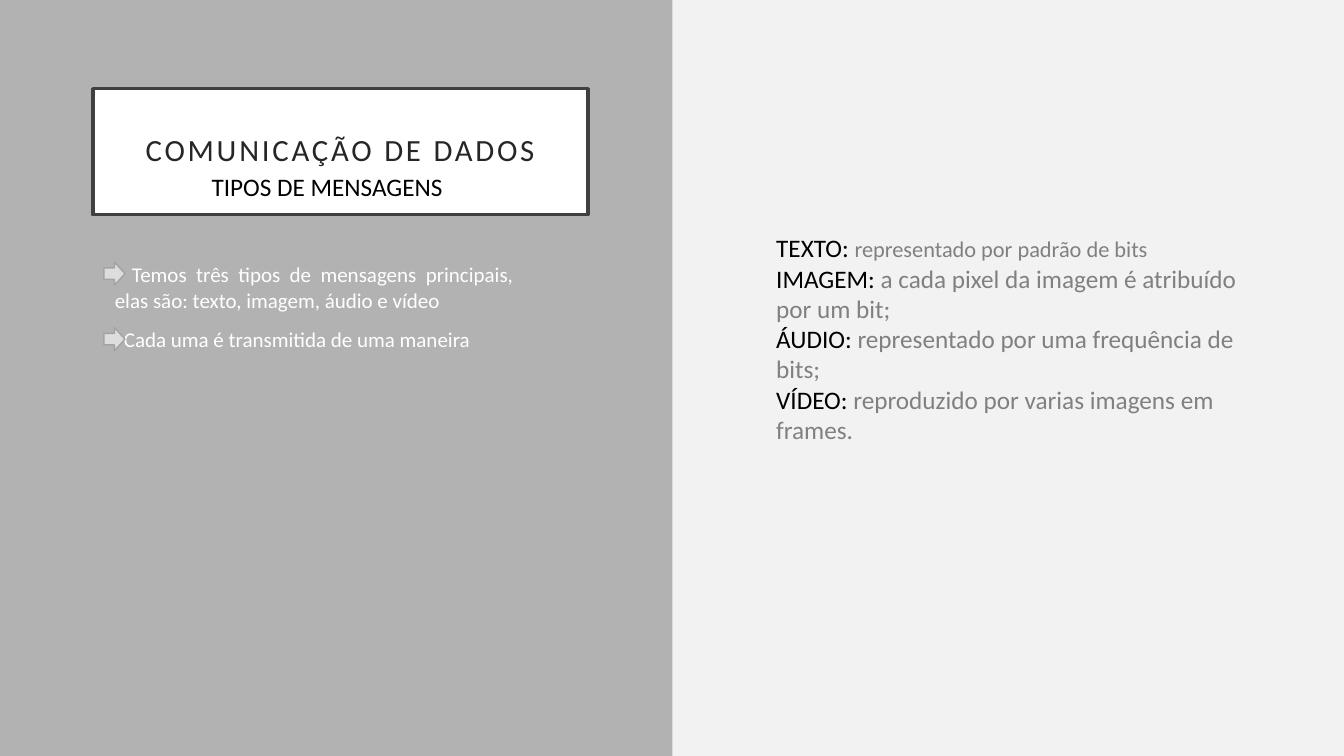
import dataclasses

import pptx
import pptx.dml.color
import pptx.enum.shapes
import pptx.enum.text
import pptx.util

Inches = pptx.util.Inches
Align = pptx.enum.text.PP_ALIGN
Anchor = pptx.enum.text.MSO_ANCHOR
Shape = pptx.enum.shapes.MSO_SHAPE


@dataclasses.dataclass(frozen=True)
class Theme:
    font: str = "Calibri"
    page: str = "F2F2F2"
    panel: str = "B2B2B2"
    white: str = "FFFFFF"
    black: str = "000000"
    frame: str = "404040"
    title: str = "262626"
    detail: str = "808080"
    arrow: str = "DDDDDD"
    arrow_edge: str = "A3A3A3"
    title_size: int = 22
    term_size: int = 18
    detail_size: int = 16
    point_size: int = 15


THEME = Theme()

POINTS = [  # text, first-line indent, arrow offset from the top of the box
    ("Temos três tipos de mensagens principais, elas são: texto, imagem, áudio e vídeo", 0.17, 0.05),
    ("Cada uma é transmitida de uma maneira", 0.09, 0.7),
]

MESSAGE_TYPES = [
    ("TEXTO: ", "representado por padrão de bits", THEME.detail_size),
    ("IMAGEM: ", "a cada pixel da imagem é atribuído por um bit;", THEME.term_size),
    ("ÁUDIO: ", "representado por uma frequência de bits;", THEME.term_size),
    ("VÍDEO: ", "reproduzido por varias imagens em frames.", THEME.term_size),
]


def rgb(color):
    return pptx.dml.color.RGBColor.from_string(color)


def add_span(para, text, *, size, color, spacing=None):
    span = para.add_run()
    span.text = text
    span.font.name = THEME.font
    span.font.size = pptx.util.Pt(size)
    span.font.color.rgb = rgb(color)
    if spacing is not None:
        span.font._element.set("spc", str(round(spacing * 100)))


def add_para(frame, first, *, align=Align.LEFT, before=0, indent=0, line=1.0):
    para = frame.paragraphs[0] if first else frame.add_paragraph()
    para.alignment = align
    para.space_before = pptx.util.Pt(before)
    para.line_spacing = line
    if indent:
        para._p.get_or_add_pPr().set("indent", str(Inches(indent)))
    return para


def add_block(page, kind, box, *, fill, line=None, width=1):
    block = page.shapes.add_shape(kind, *map(Inches, box))
    block.shadow.inherit = False
    block.fill.solid()
    block.fill.fore_color.rgb = rgb(fill)
    if line:
        block.line.color.rgb = rgb(line)
        block.line.width = pptx.util.Pt(width)
    else:
        block.line.fill.background()
    return block


def add_text_frame(page, box, wrap=True):
    frame = page.shapes.add_textbox(*map(Inches, box)).text_frame
    frame.word_wrap = wrap
    return frame


def add_heading(page, box):
    left, top, _, _ = box
    # Framed title
    frame = add_block(page, Shape.RECTANGLE, box, fill=THEME.white,
                      line=THEME.frame, width=2.5).text_frame
    frame.word_wrap = True
    frame.vertical_anchor = Anchor.MIDDLE
    frame.margin_left = frame.margin_right = Inches(0.2)
    frame.margin_top = frame.margin_bottom = Inches(0.2)
    para = add_para(frame, True, align=Align.CENTER, line=0.9)
    add_span(para, "COMUNICAÇÃO DE DADOS", size=THEME.title_size,
             color=THEME.title, spacing=2)
    # Subtitle
    frame = add_text_frame(page, (left + 1.08, top + 0.77, 2.74, 0.4), wrap=False)
    add_span(add_para(frame, True), "TIPOS DE MENSAGENS",
             size=THEME.term_size, color=THEME.black)


def add_points(page, box):
    left, top, _, _ = box
    frame = add_text_frame(page, box)
    for index, (text, indent, offset) in enumerate(POINTS):
        para = add_para(frame, index == 0, align=Align.JUSTIFY, before=10, indent=indent)
        add_span(para, text, size=THEME.point_size, color=THEME.white)
        add_block(page, Shape.RIGHT_ARROW, (left - 0.01, top + offset, 0.21, 0.23),
                  fill=THEME.arrow, line=THEME.arrow_edge)


def add_message_types(page, box):
    frame = add_text_frame(page, box)
    for index, (term, detail, size) in enumerate(MESSAGE_TYPES):
        para = add_para(frame, index == 0)
        add_span(para, term, size=THEME.term_size, color=THEME.black)
        add_span(para, detail, size=size, color=THEME.detail)


def main():
    deck = pptx.Presentation()
    deck.slide_width, deck.slide_height = Inches(13.33), Inches(7.5)
    page = deck.slides.add_slide(deck.slide_layouts[6])

    # Background and left panel
    page.background.fill.solid()
    page.background.fill.fore_color.rgb = rgb(THEME.page)
    add_block(page, Shape.RECTANGLE, (0, 0, 6.67, 7.5), fill=THEME.panel)

    add_heading(page, (0.92, 0.88, 4.91, 1.25))
    add_points(page, (1.04, 2.55, 4.15, 2.4))
    add_message_types(page, (7.6, 2.26, 4.91, 2.22))
    deck.save("out.pptx")


if __name__ == "__main__":
    main()
